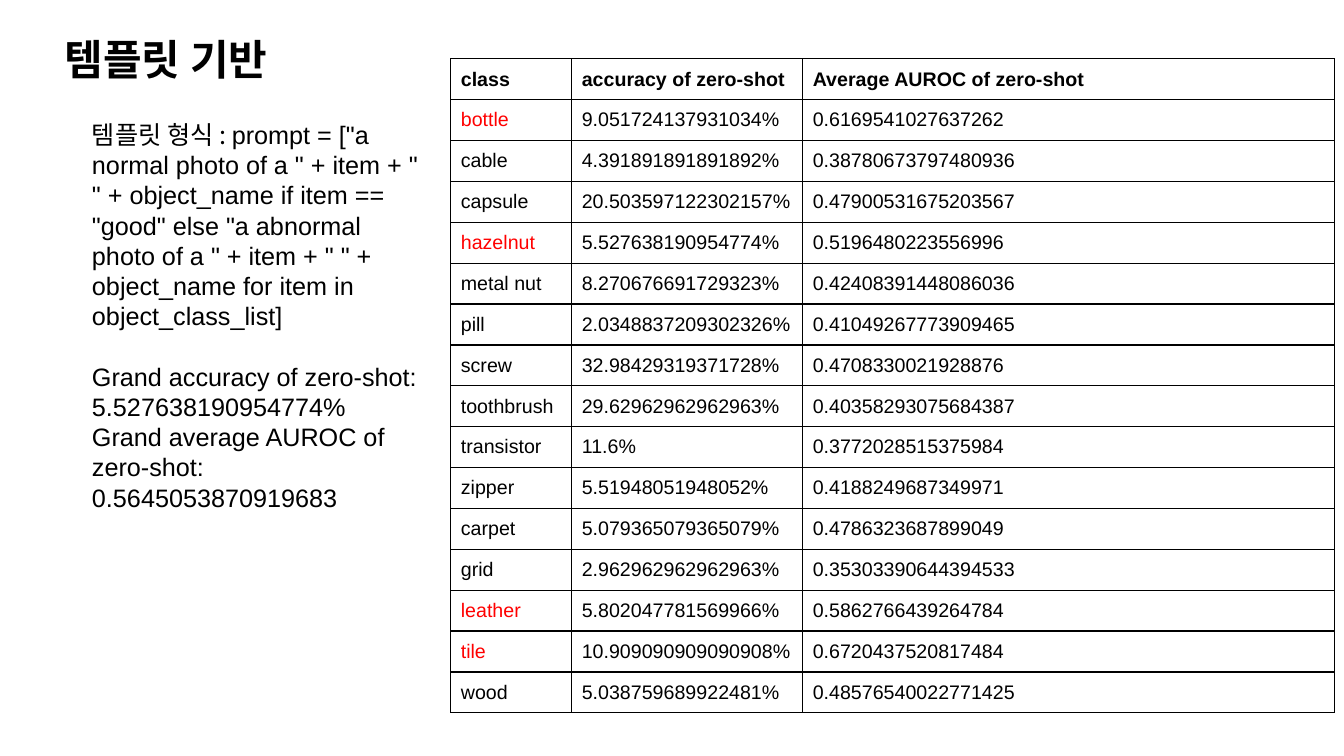
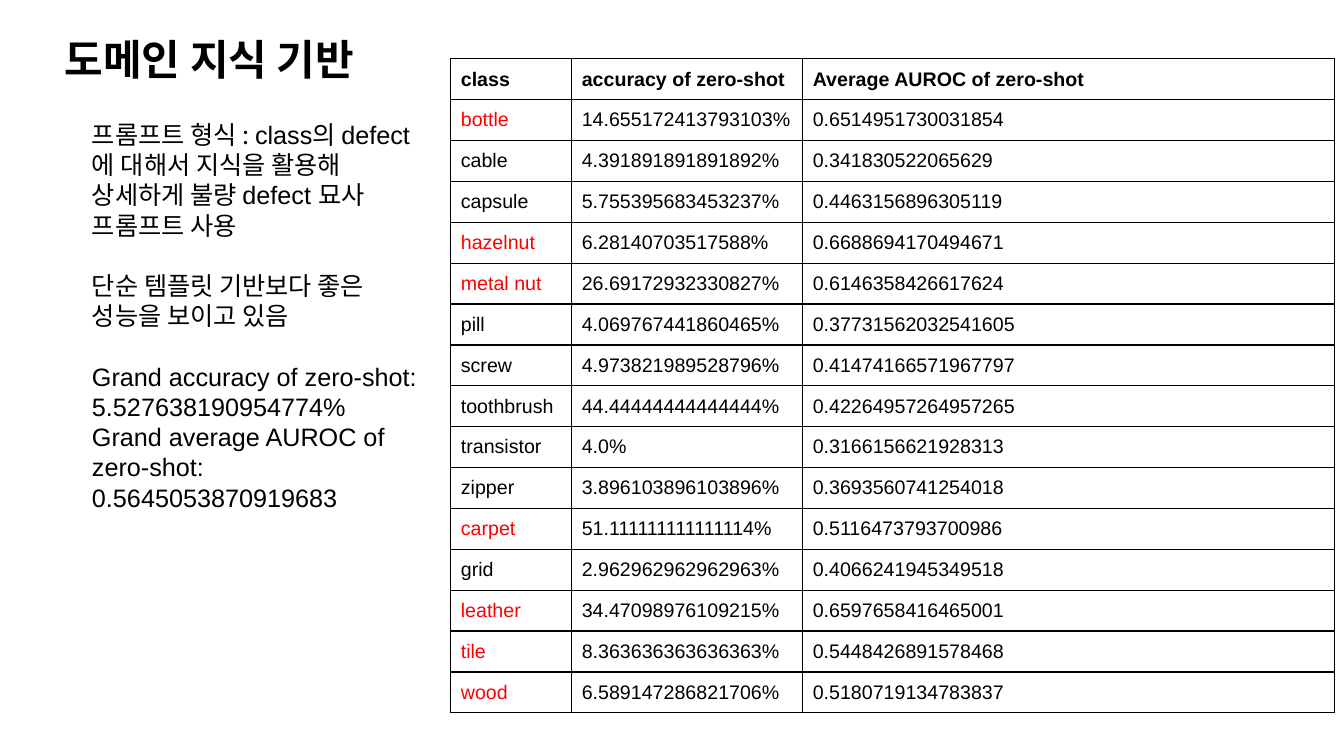
from lxml.etree import SubElement
from pptx import Presentation
from pptx.dml.color import RGBColor
from pptx.enum.text import MSO_ANCHOR as Anchor, MSO_AUTO_SIZE as AutoSize, PP_ALIGN as Align
from pptx.oxml.ns import qn
from pptx.util import Pt

COLORS = {"text": "000000", "highlight": "FF0000", "border": "000000"}
LATIN = "Arial"
KOREAN = "Noto Sans CJK KR"
TITLE_SIZE, BODY_SIZE, TABLE_SIZE = 30, 18, 14
BODY_LINE = 21.6
ROW_HEIGHT = 29.2
COLUMN_WIDTHS = (86.4, 165, 380)
AUROC_THRESHOLD = 0.5

HEADERS = ("class", "accuracy of zero-shot", "Average AUROC of zero-shot")
CLASSES = (
    "bottle", "cable", "capsule", "hazelnut", "metal nut", "pill", "screw", "toothbrush",
    "transistor", "zipper", "carpet", "grid", "leather", "tile", "wood",
)
GRAND_RESULTS = (
    (True, [("Grand accuracy of zero-shot: 5.527638190954774%", LATIN)]),
    (False, [("Grand average AUROC of zero-shot: 0.5645053870919683", LATIN)]),
)

SLIDES = (
    {
        "title": "템플릿 기반",
        "body": (
            (False, [
                ("템플릿 형식 : ", KOREAN),
                ('prompt = ["a normal photo of a " + item + " " + object_name '
                 'if item == "good" else "a abnormal photo of a " + item + " " + '
                 'object_name for item in object_class_list]', LATIN),
            ]),
        ),
        "results": (
            ("9.051724137931034%", "0.6169541027637262"),
            ("4.391891891891892%", "0.38780673797480936"),
            ("20.503597122302157%", "0.47900531675203567"),
            ("5.527638190954774%", "0.5196480223556996"),
            ("8.270676691729323%", "0.42408391448086036"),
            ("2.0348837209302326%", "0.41049267773909465"),
            ("32.98429319371728%", "0.4708330021928876"),
            ("29.62962962962963%", "0.40358293075684387"),
            ("11.6%", "0.3772028515375984"),
            ("5.51948051948052%", "0.4188249687349971"),
            ("5.079365079365079%", "0.4786323687899049"),
            ("2.962962962962963%", "0.35303390644394533"),
            ("5.802047781569966%", "0.5862766439264784"),
            ("10.909090909090908%", "0.6720437520817484"),
            ("5.038759689922481%", "0.48576540022771425"),
        ),
    },
    {
        "title": "도메인 지식 기반",
        "body": (
            (False, [
                ("프롬프트 형식 : ", KOREAN),
                ("class의 defect에 대해서 지식을 활용해 상세하게 불량 defect 묘사 프롬프트 사용", LATIN),
            ]),
            (True, [("단순 템플릿 기반보다 좋은 성능을 보이고 있음", LATIN)]),
        ),
        "results": (
            ("14.655172413793103%", "0.6514951730031854"),
            ("4.391891891891892%", "0.341830522065629"),
            ("5.755395683453237%", "0.4463156896305119"),
            ("6.28140703517588%", "0.6688694170494671"),
            ("26.69172932330827%", "0.6146358426617624"),
            ("4.069767441860465%", "0.37731562032541605"),
            ("4.973821989528796%", "0.41474166571967797"),
            ("44.44444444444444%", "0.42264957264957265"),
            ("4.0%", "0.3166156621928313"),
            ("3.896103896103896%", "0.3693560741254018"),
            ("51.111111111111114%", "0.5116473793700986"),
            ("2.962962962962963%", "0.4066241945349518"),
            ("34.47098976109215%", "0.6597658416465001"),
            ("8.363636363636363%", "0.5448426891578468"),
            ("6.589147286821706%", "0.5180719134783837"),
        ),
    },
)


class Deck:
    def __init__(self):
        self.presentation = Presentation()
        self.presentation.slide_width = Pt(960)
        self.presentation.slide_height = Pt(540)
        self.slide = None

    def add_slide(self):
        layout = self.presentation.slide_layouts[1]
        self.slide = self.presentation.slides.add_slide(layout)

    def add_run(self, paragraph, text, size, font=LATIN, color="text", bold=False):
        run = paragraph.add_run()
        run.text = text
        run.font.size = Pt(size)
        run.font.bold = bold
        run.font.color.rgb = RGBColor.from_string(COLORS[color])
        run.font.name = font
        SubElement(run._r.get_or_add_rPr(), qn("a:ea"), typeface=KOREAN)

    def place(self, shape, left, top, width, height, anchor):
        shape.left, shape.top = Pt(left), Pt(top)
        shape.width, shape.height = Pt(width), Pt(height)
        frame = shape.text_frame
        frame.word_wrap = True
        frame.auto_size = AutoSize.NONE
        frame.vertical_anchor = anchor
        return frame

    def add_title(self, text):
        frame = self.place(self.slide.shapes.title, 39, 20, 884, 44, Anchor.MIDDLE)
        paragraph = frame.paragraphs[0]
        paragraph.alignment = Align.LEFT
        self.add_run(paragraph, text, TITLE_SIZE, KOREAN, bold=True)

    def add_body(self, paragraphs):
        frame = self.place(self.slide.placeholders[1], 58.5, 81.5, 250.5, 291, Anchor.TOP)
        for index, (gap_before, runs) in enumerate(paragraphs):
            paragraph = frame.add_paragraph() if index else frame.paragraphs[0]
            properties = paragraph._p.get_or_add_pPr()
            properties.set("marL", "0")
            properties.set("indent", "0")
            SubElement(properties, qn("a:buNone"))
            paragraph.alignment = Align.LEFT
            paragraph.line_spacing = Pt(BODY_LINE)
            paragraph.space_before = Pt(BODY_LINE if gap_before else 0)
            for text, font in runs:
                self.add_run(paragraph, text, BODY_SIZE, font)

    def add_cell(self, cell, text, color="text", bold=False):
        properties = cell._tc.get_or_add_tcPr()
        for side in ("lnL", "lnR", "lnT", "lnB"):
            line = SubElement(properties, qn(f"a:{side}"), w=str(Pt(1)))
            fill = SubElement(line, qn("a:solidFill"))
            SubElement(fill, qn("a:srgbClr"), val=COLORS["border"])
        cell.fill.background()
        cell.vertical_anchor = Anchor.MIDDLE
        self.add_run(cell.text_frame.paragraphs[0], text, TABLE_SIZE, color=color, bold=bold)

    def add_results_table(self, results):
        rows = [HEADERS] + [(name, *values) for name, values in zip(CLASSES, results)]
        table = self.slide.shapes.add_table(
            len(rows), len(HEADERS), Pt(322), Pt(42),
            Pt(sum(COLUMN_WIDTHS)), Pt(ROW_HEIGHT * len(rows)),
        ).table
        table.horz_banding = False
        for column, width in zip(table.columns, COLUMN_WIDTHS):
            column.width = Pt(width)
        for row_index, values in enumerate(rows):
            table.rows[row_index].height = Pt(ROW_HEIGHT)
            is_header = row_index == 0
            stands_out = not is_header and float(values[-1]) > AUROC_THRESHOLD
            for column_index, text in enumerate(values):
                color = "highlight" if stands_out and column_index == 0 else "text"
                self.add_cell(table.cell(row_index, column_index), text, color, is_header)


def main():
    deck = Deck()
    for content in SLIDES:
        deck.add_slide()
        deck.add_title(content["title"])
        deck.add_body(content["body"] + GRAND_RESULTS)
        deck.add_results_table(content["results"])
    deck.presentation.save("out.pptx")


if __name__ == "__main__":
    main()
